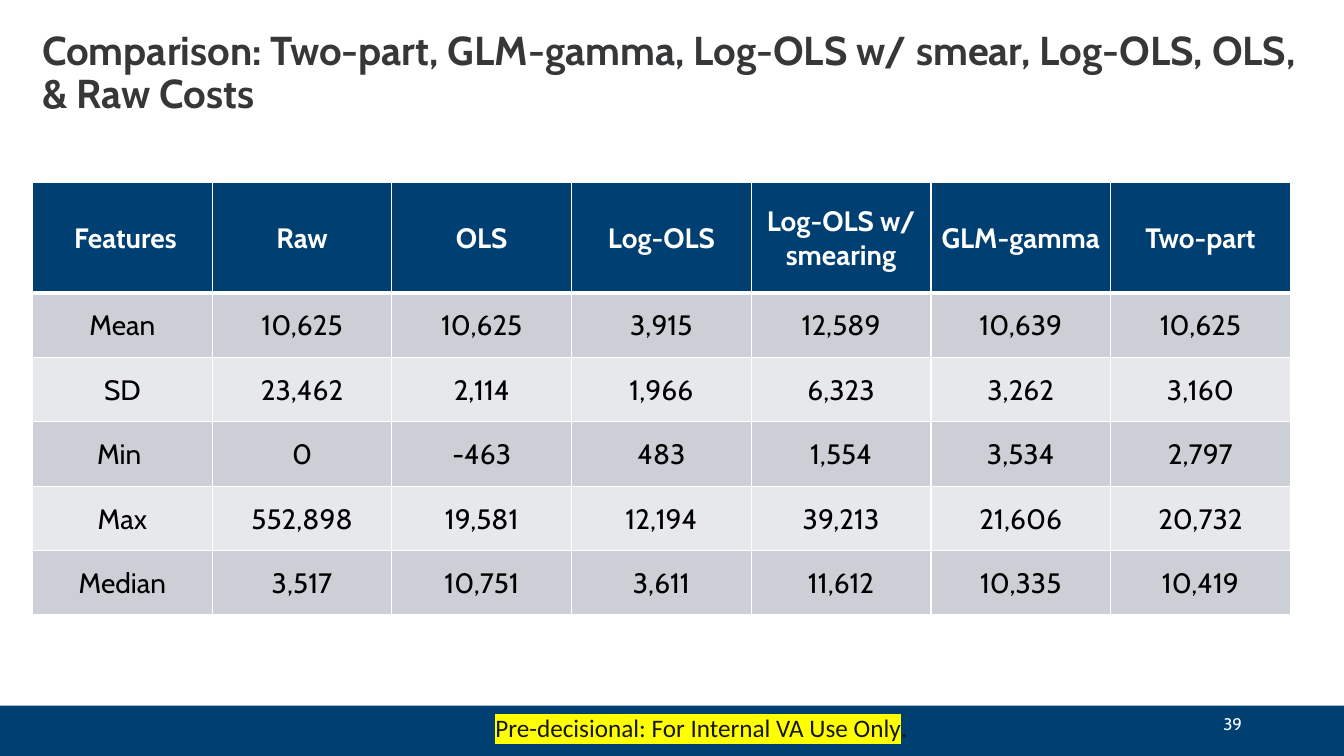
from dataclasses import dataclass

from lxml import etree
from pptx import Presentation, util as u
from pptx.dml.color import RGBColor
from pptx.enum import shapes, text
from pptx.oxml import ns


@dataclass(frozen=True)
class Theme:
    """Colours, fonts and type sizes of the slide."""
    navy: str = "003F72"
    white: str = "FFFFFF"
    black: str = "000000"
    title_ink: str = "363739"
    notice_ink: str = "151616"
    highlight: str = "FFFF00"
    bands: tuple = ("CCCFD5", "E7E8EB")
    font: str = "Cabin"
    notice_font: str = "Calibri"
    title_size: float = 28.8
    table_size: float = 20
    notice_size: float = 18
    number_size: float = 12


HEADINGS = [" Features", "Raw", "OLS", "Log-OLS", "Log-OLS w/ smearing", "GLM-gamma", "Two-part"]
STATISTICS = [
    ["Mean", "10,625", "10,625", "3,915", "12,589", "10,639", "10,625"],
    ["SD", "23,462", "2,114", "1,966", "6,323", "3,262", "3,160"],
    ["Min ", "0", "-463", "483", "1,554", "3,534", "2,797"],
    ["Max", "552,898", "19,581", "12,194", "39,213", "21,606", "20,732"],
    ["Median", "3,517", "10,751", "3,611", "11,612", "10,335", "10,419"],
]


def apply(target, values):
    """Set every attribute named in values on target."""
    for name, value in values.items():
        setattr(target, name, value)


def add_colour(parent, tag, colour):
    """Append an element that holds one RGB colour."""
    element = etree.SubElement(parent, ns.qn(tag))
    etree.SubElement(element, ns.qn("a:srgbClr"), val=colour)
    return element


class SlideBuilder:
    """Draws styled elements on one slide."""

    def __init__(self, slide, theme):
        """Keep the slide and its theme."""
        self.slide = slide
        self.theme = theme

    def add_text(self, paragraph, wording, size, colour, align, font=None, bold=False):
        """Add a formatted run to a paragraph."""
        paragraph.alignment = align
        run = paragraph.add_run()
        run.text = wording
        apply(run.font, {"size": u.Pt(size), "name": font or self.theme.font, "bold": bold})
        run.font.color.rgb = RGBColor.from_string(colour)
        return run

    def title(self, wording, box):
        """Place and format the title placeholder."""
        title = self.slide.shapes.title
        apply(title, dict(zip(("left", "top", "width", "height"), map(u.Cm, box))))
        apply(title.text_frame, {"word_wrap": True, "auto_size": text.MSO_AUTO_SIZE.NONE,
                                 "vertical_anchor": text.MSO_ANCHOR.MIDDLE})
        paragraph = title.text_frame.paragraphs[0]
        paragraph.line_spacing = 0.9
        self.add_text(paragraph, wording, self.theme.title_size, self.theme.title_ink,
                      text.PP_ALIGN.LEFT, bold=True)

    def bar(self, box):
        """Draw the footer bar."""
        bar = self.slide.shapes.add_shape(shapes.MSO_SHAPE.RECTANGLE, *map(u.Cm, box))
        bar.shadow.inherit = False
        bar.fill.solid()
        bar.fill.fore_color.rgb = RGBColor.from_string(self.theme.navy)
        bar.line.fill.background()

    def text_box(self, box, anchor):
        """Add a wrapping text box and return its paragraph."""
        frame = self.slide.shapes.add_textbox(*map(u.Cm, box)).text_frame
        apply(frame, {"word_wrap": True, "vertical_anchor": anchor})
        return frame.paragraphs[0]

    def page_number(self, number, box):
        """Set the page number at the right of the footer."""
        paragraph = self.text_box(box, text.MSO_ANCHOR.MIDDLE)
        self.add_text(paragraph, number, self.theme.number_size, self.theme.white,
                      text.PP_ALIGN.RIGHT)

    def notice(self, wording, ending, box):
        """Set the highlighted notice and its plain ending."""
        paragraph = self.text_box(box, text.MSO_ANCHOR.TOP)
        marked, _ = [self.add_text(paragraph, part, self.theme.notice_size,
                                   self.theme.notice_ink, text.PP_ALIGN.CENTER,
                                   self.theme.notice_font)
                     for part in (wording, ending)]
        properties = marked.font._element
        highlight = add_colour(properties, "a:highlight", self.theme.highlight)
        properties.find(ns.qn("a:latin")).addprevious(highlight)

    def cell(self, cell, wording, fill, colour, bold, top, bottom):
        """Fill, border and label one table cell."""
        apply(cell, {"vertical_anchor": text.MSO_ANCHOR.MIDDLE, "margin_left": u.Cm(0.03),
                     "margin_right": u.Cm(0.03), "margin_top": u.Cm(0.03), "margin_bottom": 0})
        properties = cell._tc.get_or_add_tcPr()
        for side, width in {"L": 1, "R": 1, "T": top, "B": bottom}.items():
            border = etree.SubElement(properties, ns.qn(f"a:ln{side}"), w=str(u.Pt(width)))
            add_colour(border, "a:solidFill", self.theme.white)
        cell.fill.solid()
        cell.fill.fore_color.rgb = RGBColor.from_string(fill)
        self.add_text(cell.text_frame.paragraphs[0], wording, self.theme.table_size, colour,
                      text.PP_ALIGN.CENTER, bold=bold)

    def table(self, headings, records, box, header_height):
        """Draw a table with a heading row and banded records."""
        rows = [headings, *records]
        table = self.slide.shapes.add_table(len(rows), len(headings), *map(u.Cm, box)).table
        for column in table.columns:
            column.width = u.Cm(box[2] / len(headings))
        for index, row in enumerate(rows):
            header = index == 0
            height = header_height if header else (box[3] - header_height) / len(records)
            table.rows[index].height = u.Cm(height)
            fill = self.theme.navy if header else self.theme.bands[(index - 1) % 2]
            colour = self.theme.white if header else self.theme.black
            for column, wording in enumerate(row):
                self.cell(table.cell(index, column), wording, fill, colour, header,
                          top=3 if index == 1 else 1, bottom=3 if header else 1)


def main():
    """Build the slide and save it."""
    presentation = Presentation()
    apply(presentation, {"slide_width": u.Cm(33.87), "slide_height": u.Cm(19.05)})
    slide = presentation.slides.add_slide(presentation.slide_layouts[5])
    builder = SlideBuilder(slide, Theme())
    builder.bar((0, 17.78, 33.87, 1.27))
    builder.table(HEADINGS, STATISTICS, (0.82, 4.6, 31.7, 10.9), 2.78)
    builder.page_number("39", (23.93, 17.78, 7.62, 0.9))
    builder.title("Comparison: Two-part, GLM-gamma, Log-OLS w/ smear, Log-OLS, OLS, & Raw Costs",
                  (0.81, 0.81, 32.28, 2.11))
    builder.notice("Pre-decisional: For Internal VA Use Only", ". ", (11.63, 17.83, 12.24, 1.02))
    presentation.save("out.pptx")


if __name__ == "__main__":
    main()
